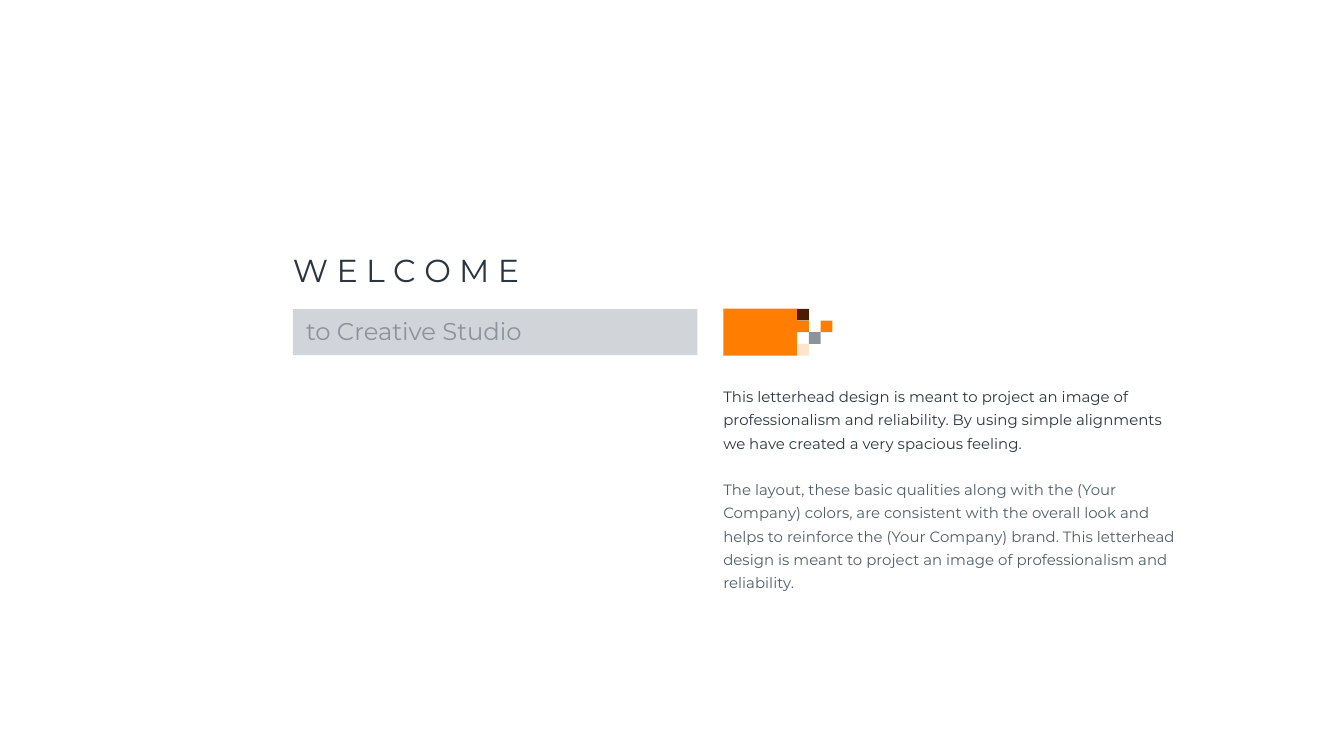
from typing import NamedTuple

from pptx import Presentation
from pptx.dml.color import RGBColor
from pptx.enum.shapes import MSO_SHAPE
from pptx.enum.text import MSO_ANCHOR, MSO_AUTO_SIZE, PP_ALIGN
from pptx.util import Emu, Inches, Pt

COLORS = {
    "ink": "2B353F",
    "slate": "505E68",
    "gray": "8C939D",
    "bar": "D1D4D8",
    "orange": "FF7D00",
    "brown": "4B1E00",
    "peach": "FFE5CC",
}
FONT = "Montserrat"
SLIDE_WIDTH = Inches(10)
SLIDE_HEIGHT = Emu(SLIDE_WIDTH * 9 // 16)
TILE_ROWS = 4


class Box(NamedTuple):
    """A place on the slide, in percent of its width and height."""
    left: float
    top: float
    width: float
    height: float

    def to_emu(self) -> tuple[Emu, Emu, Emu, Emu]:
        return (Emu(round(SLIDE_WIDTH * self.left / 100)),
                Emu(round(SLIDE_HEIGHT * self.top / 100)),
                Emu(round(SLIDE_WIDTH * self.width / 100)),
                Emu(round(SLIDE_HEIGHT * self.height / 100)))


class Tile(NamedTuple):
    column: int
    row: int
    color: str


class Passage(NamedTuple):
    text: str
    size: float
    color: str


TITLE_BOX = Box(21.8, 32.71, 27.3, 5.87)
BAR_BOX = Box(21.8, 40.9, 30.1, 6.1)
SUBTITLE_BOX = Box(22.78, 41.42, 19.4, 4.8)
BLOCK_BOX = Box(53.82, 40.85, 5.5, 6.2)
BODY_BOX = Box(53.82, 52.78, 34.1, 23.29)

TILES = [
    Tile(0, 0, "brown"),
    Tile(0, 1, "orange"),
    Tile(1, 2, "gray"),
    Tile(0, 3, "peach"),
    Tile(2, 1, "orange"),
]
TITLE = Passage("W E L C O M E", 17, "ink")
SUBTITLE = Passage("to Creative Studio", 13, "gray")
BODY = [
    Passage("This letterhead design is meant to project an image of "
            "professionalism and reliability. By using simple alignments "
            "we have created a very spacious feeling.", 8, "ink"),
    Passage("The layout, these basic qualities along with the (Your Company) "
            "colors, are consistent with the overall look and helps to "
            "reinforce the (Your Company) brand. This letterhead design is "
            "meant to project an image of professionalism and reliability.",
            8, "slate"),
]


def add_rectangle(shapes, place: tuple, color: str) -> None:
    shape = shapes.add_shape(MSO_SHAPE.RECTANGLE, *place)
    shape.shadow.inherit = False
    shape.fill.solid()
    shape.fill.fore_color.rgb = RGBColor.from_string(COLORS[color])
    shape.line.fill.background()


def fill_text(shape, passages: list[Passage], line_spacing: float = 1.0,
              gap: float = 0) -> None:
    """Write one paragraph per passage, with gap points between them."""
    frame = shape.text_frame
    frame.word_wrap = True
    frame.auto_size = MSO_AUTO_SIZE.NONE
    frame.vertical_anchor = MSO_ANCHOR.MIDDLE
    frame.margin_left = frame.margin_right = 0
    frame.margin_top = frame.margin_bottom = 0
    for index, passage in enumerate(passages):
        paragraph = frame.add_paragraph() if index else frame.paragraphs[0]
        paragraph.alignment = PP_ALIGN.LEFT
        paragraph.line_spacing = line_spacing
        paragraph.space_before = Pt(gap if index else 0)
        run = paragraph.add_run()
        run.text = passage.text
        run.font.name = FONT
        run.font.size = Pt(passage.size)
        run.font.color.rgb = RGBColor.from_string(COLORS[passage.color])


def add_pixel_mark(slide) -> None:
    """Draw the orange block and the tiles that scatter from its right side."""
    group = slide.shapes.add_group_shape()
    left, top, width, height = BLOCK_BOX.to_emu()
    add_rectangle(group.shapes, (left, top, width, height), "orange")
    side = height // TILE_ROWS
    for tile in TILES:
        place = (left + width + tile.column * side, top + tile.row * side,
                 side, side)
        add_rectangle(group.shapes, place, tile.color)


def main() -> None:
    presentation = Presentation()
    presentation.slide_width = SLIDE_WIDTH
    presentation.slide_height = SLIDE_HEIGHT
    slide = presentation.slides.add_slide(presentation.slide_layouts[5])

    title = slide.shapes.title
    title.left, title.top, title.width, title.height = TITLE_BOX.to_emu()
    fill_text(title, [TITLE])

    add_rectangle(slide.shapes, BAR_BOX.to_emu(), "bar")
    fill_text(slide.shapes.add_textbox(*SUBTITLE_BOX.to_emu()), [SUBTITLE])
    fill_text(slide.shapes.add_textbox(*BODY_BOX.to_emu()), BODY,
              line_spacing=1.3, gap=12.5)
    add_pixel_mark(slide)
    presentation.save("out.pptx")


if __name__ == "__main__":
    main()
